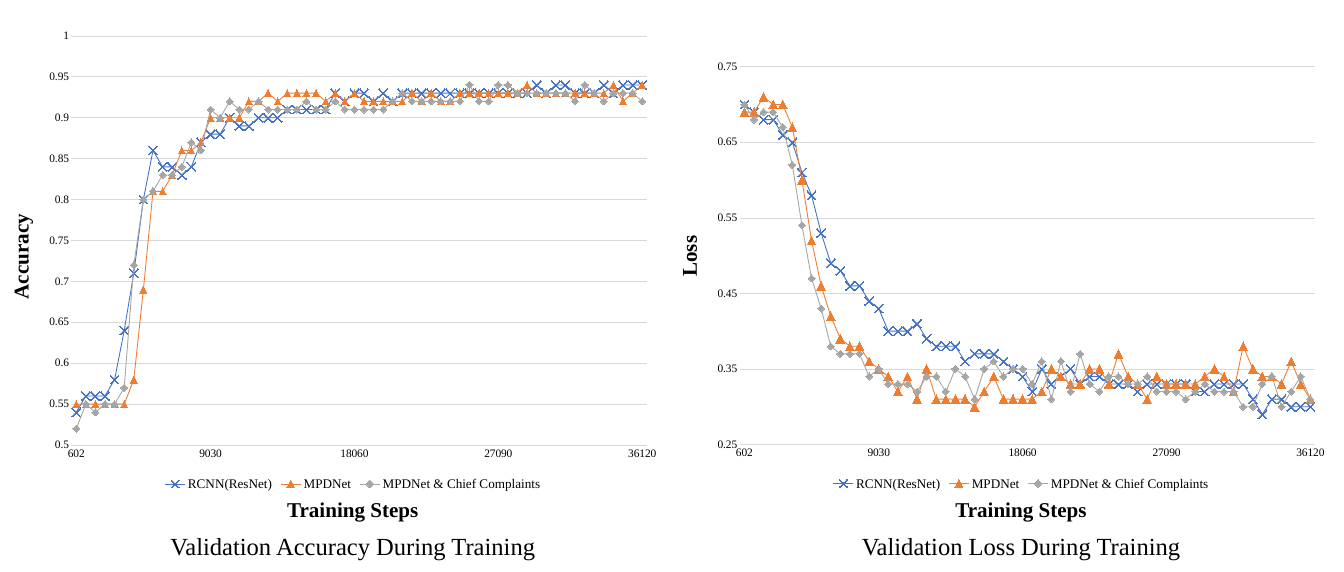
from pptx import Presentation
from pptx.chart.data import CategoryChartData
from pptx.dml.color import RGBColor
from pptx.enum.chart import XL_CHART_TYPE, XL_LEGEND_POSITION, XL_MARKER_STYLE, XL_TICK_MARK
from pptx.enum.text import MSO_AUTO_SIZE, PP_ALIGN
from pptx.oxml import parse_xml
from pptx.oxml.ns import nsdecls
from pptx.util import Pt

COLORS = {"text": "000000", "grid": "D9D9D9", "RCNN(ResNet)": "4472C4",
          "MPDNet": "ED7D31", "MPDNet & Chief Complaints": "A5A5A5"}
SERIF = "Times New Roman"
MARKERS = {"RCNN(ResNet)": XL_MARKER_STYLE.X, "MPDNet": XL_MARKER_STYLE.TRIANGLE,
           "MPDNet & Chief Complaints": XL_MARKER_STYLE.DIAMOND}
AXIS_FONT = {"name": SERIF, "size": Pt(13), "bold": False}
LEGEND_FONT = {"name": SERIF, "size": Pt(15)}
AXIS_TITLE_FONT = {"name": SERIF, "size": Pt(24), "bold": True}
CAPTION_FONT = {"name": SERIF, "size": Pt(28), "bold": False}

# One step label at the start, then one every 15 evaluations
STEP = 602
CATEGORIES = [str(STEP * n) if n == 1 or n % 15 == 0 else "" for n in range(1, 61)]

# Series values in hundredths
ACCURACY = {
    "RCNN(ResNet)": [
        54, 56, 56, 56, 58, 64, 71, 80, 86, 84, 84, 83, 84, 87, 88, 88, 90, 89, 89, 90,
        90, 90, 91, 91, 91, 91, 91, 93, 92, 93, 93, 92, 93, 92, 93, 93, 93, 93, 93, 93,
        93, 93, 93, 93, 93, 93, 93, 93, 94, 93, 94, 94, 93, 93, 93, 94, 93, 94, 94, 94],
    "MPDNet": [
        55, 55, 55, 55, 55, 55, 58, 69, 81, 81, 83, 86, 86, 87, 90, 90, 90, 90, 92, 92,
        93, 92, 93, 93, 93, 93, 92, 93, 92, 93, 92, 92, 92, 92, 92, 93, 92, 93, 92, 92,
        93, 93, 93, 93, 93, 93, 93, 94, 93, 93, 93, 93, 93, 93, 93, 93, 94, 92, 93, 94],
    "MPDNet & Chief Complaints": [
        52, 55, 54, 55, 55, 57, 72, 80, 81, 83, 83, 84, 87, 86, 91, 90, 92, 91, 91, 92,
        91, 91, 91, 91, 92, 91, 91, 92, 91, 91, 91, 91, 91, 92, 93, 92, 92, 92, 92, 92,
        92, 94, 92, 92, 94, 94, 93, 93, 93, 93, 93, 93, 92, 94, 93, 92, 93, 93, 93, 92],
}
LOSS = {
    "RCNN(ResNet)": [
        70, 69, 68, 68, 66, 65, 61, 58, 53, 49, 48, 46, 46, 44, 43, 40, 40, 40, 41, 39,
        38, 38, 38, 36, 37, 37, 37, 36, 35, 34, 32, 35, 33, 34, 35, 33, 34, 34, 33, 33,
        33, 32, 33, 33, 33, 33, 33, 32, 32, 33, 33, 33, 33, 31, 29, 31, 31, 30, 30, 30],
    "MPDNet": [
        69, 69, 71, 70, 70, 67, 60, 52, 46, 42, 39, 38, 38, 36, 35, 34, 32, 34, 31, 35,
        31, 31, 31, 31, 30, 32, 34, 31, 31, 31, 31, 32, 35, 34, 33, 33, 35, 35, 33, 37,
        34, 33, 31, 34, 33, 33, 33, 33, 34, 35, 34, 32, 38, 35, 34, 34, 33, 36, 33, 31],
    "MPDNet & Chief Complaints": [
        70, 68, 69, 69, 67, 62, 54, 47, 43, 38, 37, 37, 37, 34, 35, 33, 33, 33, 32, 34,
        34, 32, 35, 34, 31, 35, 36, 34, 35, 35, 33, 36, 31, 36, 32, 37, 33, 32, 34, 34,
        33, 33, 34, 32, 32, 32, 31, 32, 33, 32, 32, 32, 30, 30, 33, 34, 30, 32, 34, 31],
}

PANELS = [
    {"box": (41.8, 23, 720, 540), "name": "Accuracy", "data": ACCURACY, "triangle": 8,
     "scale": {"minimum_scale": 0.5}},
    {"box": (802.8, 22.3, 720, 540), "name": "Loss", "data": LOSS, "triangle": 10,
     "scale": {"minimum_scale": 0.25, "maximum_scale": 0.8, "major_unit": 0.1}},
]


def set_values(target, values):
    for key, value in values.items():
        setattr(target, key, value)


def set_font(font, values):
    set_values(font, values)
    font.color.rgb = RGBColor.from_string(COLORS["text"])


def set_line(line, color, width):
    line.color.rgb = RGBColor.from_string(color)
    line.width = Pt(width)


def add_label(slide, box, text, font, rotation=0):
    label = slide.shapes.add_textbox(*[Pt(length) for length in box])
    label.rotation = rotation
    set_values(label.text_frame, {"word_wrap": True,
                                  "auto_size": MSO_AUTO_SIZE.SHAPE_TO_FIT_TEXT})
    para = label.text_frame.paragraphs[0]
    para.alignment = PP_ALIGN.CENTER
    span = para.add_run()
    span.text = text
    set_font(span.font, font)


def format_axes(chart, scale):
    for axis in (chart.category_axis, chart.value_axis):
        set_values(axis, {"major_tick_mark": XL_TICK_MARK.NONE,
                          "minor_tick_mark": XL_TICK_MARK.NONE})
        set_font(axis.tick_labels.font, AXIS_FONT)
    set_line(chart.category_axis.format.line, COLORS["grid"], 0.75)
    set_values(chart.value_axis, scale)
    chart.value_axis.format.line.fill.background()
    set_line(chart.value_axis.major_gridlines.format.line, COLORS["grid"], 0.75)
    # Keep step labels horizontal and show every one
    category = chart.category_axis._element
    body = category.txPr.bodyPr
    body.set("rot", "-60000000")
    body.set("vert", "horz")
    skip = parse_xml(f'<c:tickLblSkip {nsdecls("c")} val="1"/>')
    category.find("{*}noMultiLvlLbl").addprevious(skip)


def format_series(chart, triangle_size):
    sizes = {"RCNN(ResNet)": 10, "MPDNet": triangle_size, "MPDNet & Chief Complaints": 8}
    for series in chart.plots[0].series:
        color = COLORS[series.name]
        series.smooth = False
        set_line(series.format.line, color, 1)
        set_values(series.marker, {"style": MARKERS[series.name], "size": sizes[series.name]})
        set_line(series.marker.format.line, color, 0.75)
        fill = series.marker.format.fill
        if series.marker.style == XL_MARKER_STYLE.X:
            fill.background()
        else:
            fill.solid()
            fill.fore_color.rgb = RGBColor.from_string(color)


def add_panel(slide, panel):
    left, top, width, height = panel["box"]
    # Line chart
    data = CategoryChartData()
    data.categories = CATEGORIES
    for name, hundredths in panel["data"].items():
        data.add_series(name, [value / 100 for value in hundredths])
    chart = slide.shapes.add_chart(XL_CHART_TYPE.LINE_MARKERS, Pt(left), Pt(top),
                                   Pt(width), Pt(height), data).chart
    set_values(chart, {"has_title": False, "has_legend": True})
    set_font(chart.font, {"name": "Calibri", "size": Pt(10)})
    chart.plots[0].vary_by_categories = False
    set_values(chart.legend, {"position": XL_LEGEND_POSITION.BOTTOM, "include_in_layout": False})
    set_font(chart.legend.font, LEGEND_FONT)
    format_axes(chart, panel["scale"])
    format_series(chart, panel["triangle"])
    # Axis titles and caption
    add_label(slide, (left - 208.5, top + 251, 381, 37.4), panel["name"], AXIS_TITLE_FONT, 270)
    add_label(slide, (left + 169.5, top + 539.5, 381, 37.4), "Training Steps", AXIS_TITLE_FONT)
    add_label(slide, (left + 137.5, top + 579, 445, 41),
              f"Validation {panel['name']} During Training", CAPTION_FONT)


def main():
    deck = Presentation()
    deck.slide_width = Pt(1530.71)
    deck.slide_height = Pt(651.97)
    page = deck.slides.add_slide(deck.slide_layouts[6])
    for panel in PANELS:
        add_panel(page, panel)
    deck.save("out.pptx")


if __name__ == "__main__":
    main()
